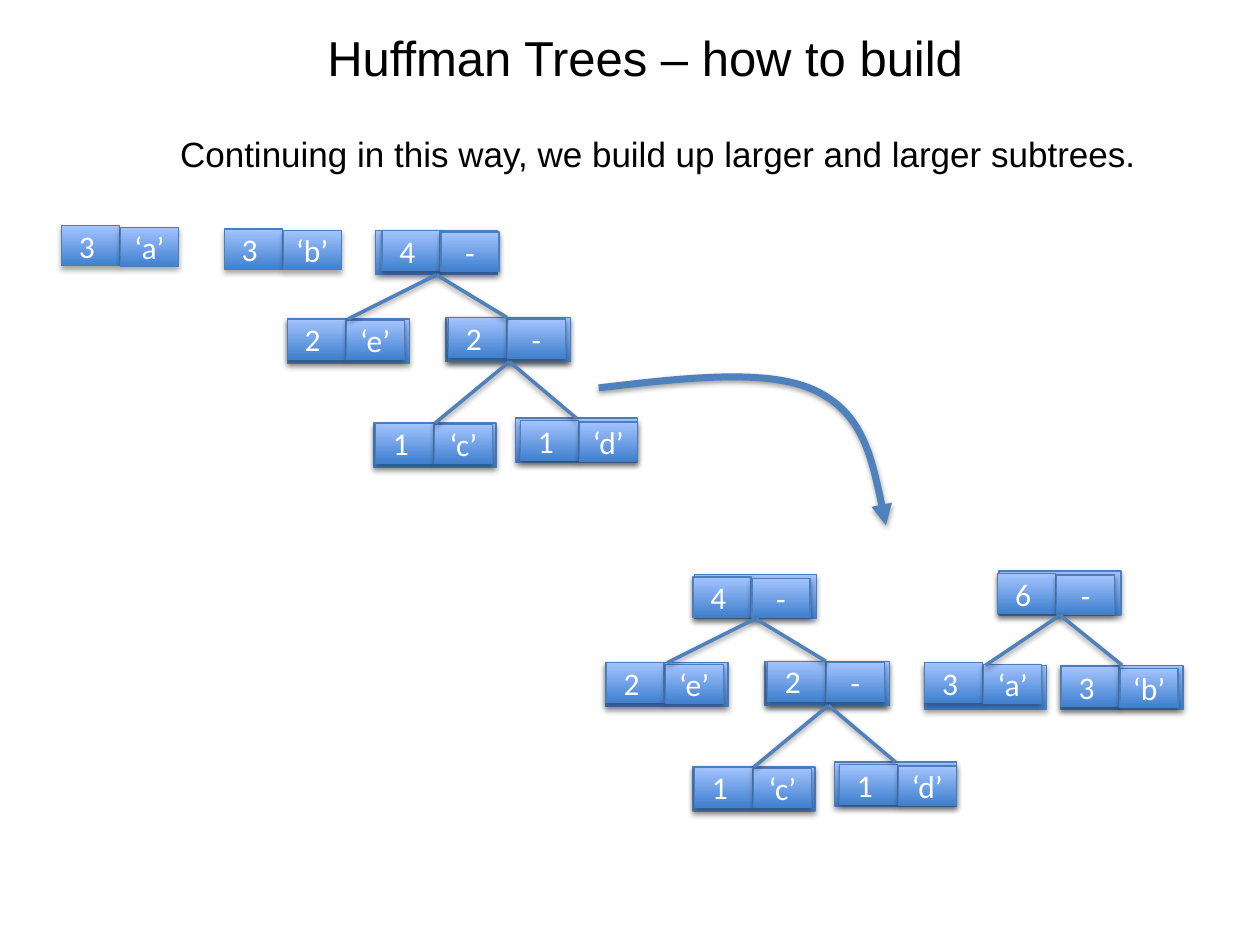
from pptx import Presentation
from pptx.dml.color import RGBColor
from pptx.enum.shapes import MSO_CONNECTOR, MSO_SHAPE
from pptx.enum.text import MSO_ANCHOR, MSO_AUTO_SIZE, PP_ALIGN
from pptx.oxml import parse_xml
from pptx.oxml.ns import nsdecls
from pptx.util import Cm, Pt
from lxml.etree import SubElement

FRAME_W, FRAME_H = 2.46, 0.89
CELL_W = 1.17


def rgb(value):
    return RGBColor.from_string(value)


def outline(sp, color, width, alpha, dist):
    sp.line.color.rgb = rgb(color)
    sp.line.width = Pt(width)
    sp._element.spPr.append(parse_xml(
        f'<a:effectLst {nsdecls("a")}><a:outerShdw blurRad="40000" dist="{dist}" '
        f'dir="5400000" rotWithShape="0"><a:srgbClr val="000000">'
        f'<a:alpha val="{alpha}000"/></a:srgbClr></a:outerShdw></a:effectLst>'))


prs = Presentation()
prs.slide_width, prs.slide_height = Cm(25.4), Cm(19.05)
s = prs.slides.add_slide(prs.slide_layouts[6])

texts = [
    (3.38, 2.54, 19.94, 1.12, 20,
     "Continuing in this way, we build up larger and larger subtrees."),
    (6.35, 0.43, 13.49, 1.45, 28, "Huffman Trees – how to build"),
]
for x, y, w, h, size, text in texts:
    tf = s.shapes.add_textbox(Cm(x), Cm(y), Cm(w), Cm(h)).text_frame
    tf.word_wrap = False
    tf.auto_size = MSO_AUTO_SIZE.SHAPE_TO_FIT_TEXT
    p = tf.paragraphs[0]
    p.text = text
    p.font.name, p.font.size = "Arial", Pt(size)
    p.font.color.rgb = rgb("000000")

curve = [(12.07, 7.82), (13.77, 7.62), (15.47, 7.42), (16.43, 7.87),
         (17.4, 8.33), (17.63, 9.45), (17.86, 10.59)]
points = [(Cm(x), Cm(y)) for x, y in curve]
builder = s.shapes.build_freeform(*points[0])
builder.add_line_segments(points[1:], close=False)
arrow = builder.convert_to_shape()
segments = arrow._element.xpath(".//a:lnTo")
for i in range(0, len(segments), 3):
    bezier = parse_xml(f'<a:cubicBezTo {nsdecls("a")}/>')
    segments[i].addprevious(bezier)
    for segment in segments[i:i + 3]:
        bezier.append(segment[0])
        segment.getparent().remove(segment)
arrow.fill.background()
outline(arrow, "4F81BD", 4, 38, 20000)
ln = arrow._element.xpath("./p:spPr/a:ln")[0]
SubElement(ln, ln.tag[:-2] + "tailEnd", type="triangle")

subtree = {
    "c": (7.54, 8.53, 0.03, 0, "1 ", "‘c’"),
    "d": (10.39, 8.43, 0.1, 0.05, "1 ", "‘d’"),
    "e": (5.79, 6.43, 0, 0, "2 ", "‘e’"),
    "cd back": (8.99, 6.4, 0, 0, "", ""),
    "cd": (9.04, 6.4, 0, 0, "2 ", "-"),
}
edges = [("cd", "c"), ("cd", "d"), ("cde", "e"), ("cde", "cd back")]
before = {**subtree, "cde": (7.57, 4.65, 0.13, 0, "4 ", "-")}
after = {key: (x + 6.43, y + 6.93, *rest)
         for key, (x, y, *rest) in subtree.items()}
after["cde"] = (14, 11.58, -0.03, 0.05, "4 ", "-")
new_tree = {
    "a": (18.64, 13.41, 0, -0.05, "3 ", "‘a’"),
    "b": (21.39, 13.41, 0, 0.03, "3 ", "‘b’"),
    "ab": (20.14, 11.51, -0.03, 0.05, "6 ", "-"),
}
loose = {
    "a": (1.24, 4.55, 0, 0, "3 ", "‘a’"),
    "b": (4.52, 4.62, 0, 0, "3 ", "‘b’"),
}
forest = [(loose, [], False), (before, edges, True), (after, edges, True),
          (new_tree, [("ab", "a"), ("ab", "b")], True)]

for nodes, links, framed in forest:
    for x, y, dx, dy, count, symbol in nodes.values():
        boxes = [(x, y, FRAME_W, FRAME_H, "")] if framed else []
        if symbol:
            boxes += [(x + dx, y + dy, CELL_W, 0.81, count),
                      (x + dx + 1.19, y + dy + 0.03, CELL_W, 0.79, symbol)]
        for left, top, w, h, text in boxes:
            sp = s.shapes.add_shape(MSO_SHAPE.RECTANGLE, Cm(left), Cm(top), Cm(w), Cm(h))
            sp.fill.gradient()
            sp.fill.gradient_angle = 90
            for stop, color in zip(sp.fill.gradient_stops, ("3F80CE", "A4C4FF")):
                stop.color.rgb = rgb(color)
            outline(sp, "4B7EBC", 0.75, 35, 23000)
            if text:
                tf = sp.text_frame
                tf.vertical_anchor = MSO_ANCHOR.MIDDLE
                p = tf.paragraphs[0]
                p.text = text
                p.alignment = PP_ALIGN.CENTER
                p.font.name, p.font.size = "Calibri", Pt(18)
                p.font.color.rgb = rgb("FFFFFF")
    for parent, child in links:
        (px, py), (cx, cy) = nodes[parent][:2], nodes[child][:2]
        line = s.shapes.add_connector(
            MSO_CONNECTOR.STRAIGHT, Cm(px + FRAME_W / 2), Cm(py + FRAME_H),
            Cm(cx + FRAME_W / 2), Cm(cy))
        outline(line, "4F81BD", 2, 38, 20000)

prs.save("out.pptx")
